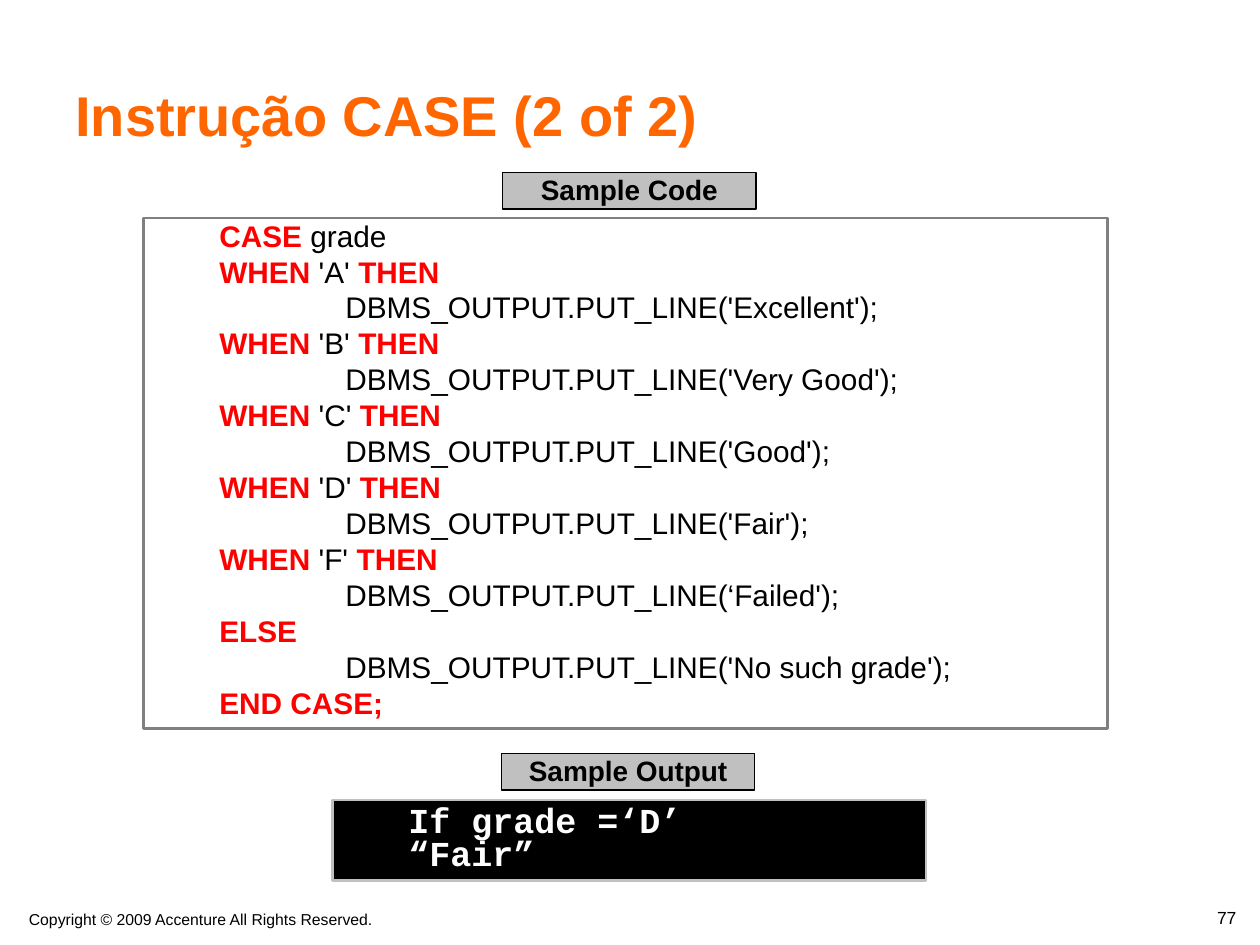
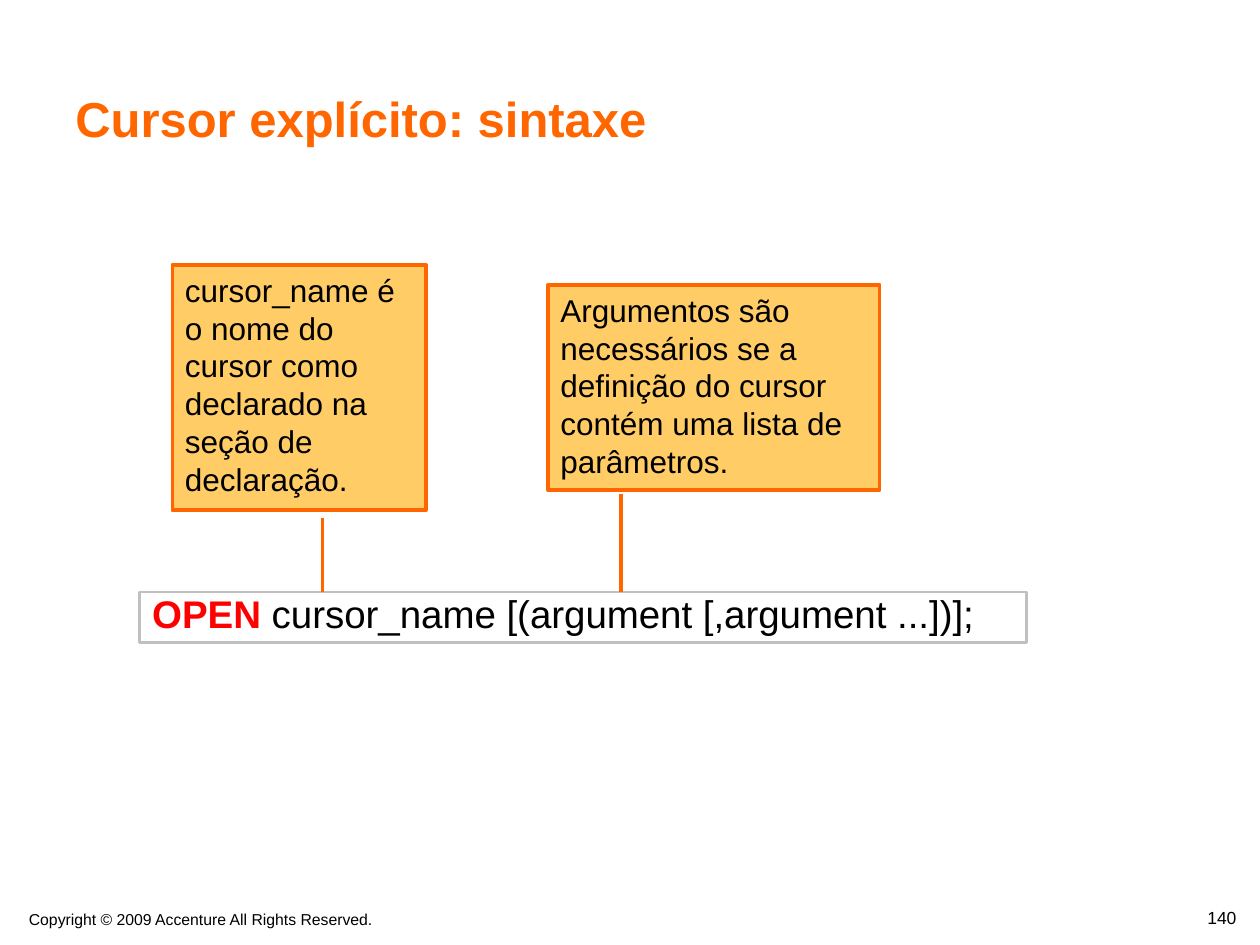
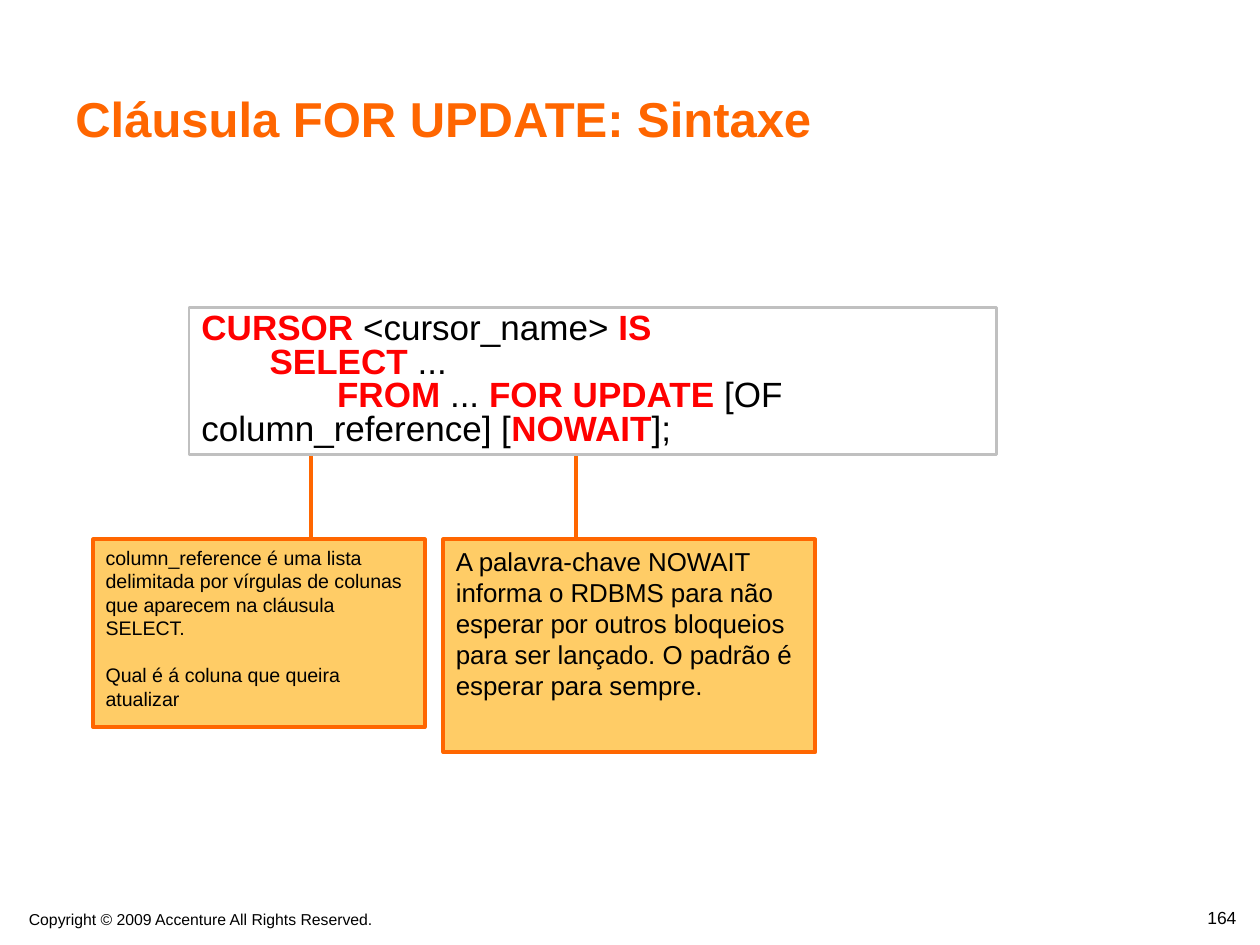
"""Build three slides on PL/SQL CASE, explicit cursors and FOR UPDATE."""
from lxml.etree import SubElement
from pptx import Presentation
from pptx.dml.color import RGBColor
from pptx.enum.shapes import MSO_CONNECTOR as CONNECTOR, MSO_SHAPE as SHAPE
from pptx.enum.text import MSO_ANCHOR as ANCHOR, PP_ALIGN as ALIGN
from pptx.oxml.ns import qn
from pptx.util import Pt

ORANGE = RGBColor(0xFF, 0x66, 0x00)
AMBER = RGBColor(0xFF, 0xCC, 0x66)
RED = RGBColor(0xFF, 0x00, 0x00)
BLACK = RGBColor(0x00, 0x00, 0x00)
WHITE = RGBColor(0xFF, 0xFF, 0xFF)
GRAY = RGBColor(0x80, 0x80, 0x80)
SILVER = RGBColor(0xC0, 0xC0, 0xC0)


def write(shape, lines, size, color=BLACK, bold=False, font="Arial", align=ALIGN.LEFT,
          anchor=ANCHOR.TOP, spacing=None, gap=0, indent=0, wrap=True):
    """Fill a shape with lines in which *asterisks* enclose red keywords."""
    frame = shape.text_frame
    frame.word_wrap = wrap
    frame.vertical_anchor = anchor
    frame.margin_left = Pt(7.2 + indent)
    for index, line in enumerate(lines):
        paragraph = frame.paragraphs[0] if index == 0 else frame.add_paragraph()
        if "\t" in line:
            tabs = SubElement(paragraph._p.get_or_add_pPr(), qn("a:tabLst"))
            SubElement(tabs, qn("a:tab"), pos=str(Pt(72)), algn="l")
        paragraph.alignment = align
        if spacing:
            paragraph.line_spacing = spacing
        if index and gap:
            paragraph.space_before = Pt(gap)
        paragraph.font.name = font
        paragraph.font.size = Pt(size)
        paragraph.font.bold = bold
        paragraph.font.color.rgb = color
        for position, part in enumerate(line.split("*")):
            if part:
                run = paragraph.add_run()
                run.text = part
                if position % 2:
                    run.font.bold = True
                    run.font.color.rgb = RED


def add_box(slide, bounds, fill, border, width, lines, size, **style):
    """Add a bordered rectangle with text."""
    box = slide.shapes.add_shape(SHAPE.RECTANGLE, *map(Pt, bounds))
    box.shadow.inherit = False
    if fill is None:
        box.fill.background()
    else:
        box.fill.solid()
        box.fill.fore_color.rgb = fill
    box.line.color.rgb = border
    box.line.width = Pt(width)
    write(box, lines, size, **style)


deck = Presentation()
deck.slide_width, deck.slide_height = Pt(720), Pt(540)

slides = []
for heading, heading_size, number in [
    ("Instrução CASE (2 of 2)", 32, "77"),
    ("Cursor explícito: sintaxe", 28, "140"),
    ("Cláusula FOR UPDATE: Sintaxe", 28, "164"),
]:
    slide = deck.slides.add_slide(deck.slide_layouts[6])
    slides.append(slide)
    copyright_line = slide.shapes.add_textbox(Pt(9.4), Pt(516.2), Pt(267.8), Pt(18))
    write(copyright_line, ["Copyright © 2009 Accenture All Rights Reserved."], 9, wrap=False)
    page_number = slide.shapes.add_textbox(Pt(545.8), Pt(514.5), Pt(167.8), Pt(25))
    write(page_number, [number], 10, align=ALIGN.RIGHT)
    title = slide.shapes.add_textbox(Pt(36), Pt(15.8), Pt(642.2), Pt(72))
    write(title, [heading], heading_size, ORANGE, True, anchor=ANCHOR.BOTTOM)

case_slide, cursor_slide, update_slide = slides

case_code = ["*CASE* grade"]
for grade, message in [("A", "'Excellent'"), ("B", "'Very Good'"), ("C", "'Good'"),
                       ("D", "'Fair'"), ("F", "‘Failed'")]:
    case_code += [f"*WHEN* '{grade}' *THEN*", f"\tDBMS_OUTPUT.PUT_LINE({message});"]
case_code += ["*ELSE*", "\tDBMS_OUTPUT.PUT_LINE('No such grade');", "*END CASE;*"]
add_box(case_slide, (82.1, 124.6, 550.8, 291.6), None, GRAY, 1.5, case_code, 17,
        spacing=0.8, gap=4.2, indent=36)
add_box(case_slide, (190.1, 457.2, 339.1, 46.1), BLACK, SILVER, 1.5,
        ["If grade =‘D’", "“Fair”"], 20, color=WHITE, bold=True, font="Courier New",
        spacing=0.8, indent=36)
for label, left, top in [("Sample Code", 287.3, 98.6), ("Sample Output", 286.6, 430.6)]:
    add_box(case_slide, (left, top, 144.7, 20.9), SILVER, BLACK, 0.75, [label], 16,
            bold=True, align=ALIGN.CENTER, spacing=0.8)

for slide, bounds, code, size in [
    (cursor_slide, (79.9, 338.4, 506.9, 28.8),
     ["*OPEN* cursor_name [(argument [,argument ...])];"], 22),
    (update_slide, (108, 175.7, 461.5, 84.2),
     ["*CURSOR* <cursor_name> *IS*",
      "       *SELECT* ...",
      "\t *FROM* ... *FOR UPDATE* [OF column_reference] [*NOWAIT*];"], 20),
]:
    add_box(slide, bounds, None, SILVER, 1.5, code, size, anchor=ANCHOR.MIDDLE, spacing=0.8)

for slide, bounds, note, size, pointer_x, pointer_top, pointer_bottom in [
    (cursor_slide, (98.6, 151.2, 144.7, 140.4),
     ["cursor_name é o nome do cursor como declarado na seção de declaração."],
     18, 184.3, 295.9, 338.4),
    (cursor_slide, (313.2, 162.7, 189.4, 117.4),
     ["Argumentos são necessários se a definição do cursor contém uma lista de parâmetros."],
     18, 355, 282.2, 338.4),
    (update_slide, (53.3, 308.2, 189.4, 107.3),
     ["column_reference é uma lista delimitada por vírgulas de colunas que aparecem "
      "na cláusula SELECT.", "Qual é á coluna que queira atualizar"],
     11.2, 177.8, 260.6, 308.2),
    (update_slide, (253.4, 308.2, 212.4, 121.7),
     ["A palavra-chave NOWAIT informa o RDBMS para não esperar por outros bloqueios "
      "para ser lançado. O padrão é esperar para sempre."],
     14.8, 329, 260.6, 308.2),
]:
    add_box(slide, bounds, AMBER, ORANGE, 2.25, note, size, gap=13.4)
    pointer = slide.shapes.add_connector(CONNECTOR.STRAIGHT, Pt(pointer_x), Pt(pointer_top),
                                         Pt(pointer_x), Pt(pointer_bottom))
    pointer.line.color.rgb = ORANGE
    pointer.line.width = Pt(2.25)
    SubElement(pointer._element.spPr, qn("a:effectLst"))

deck.save("out.pptx")
